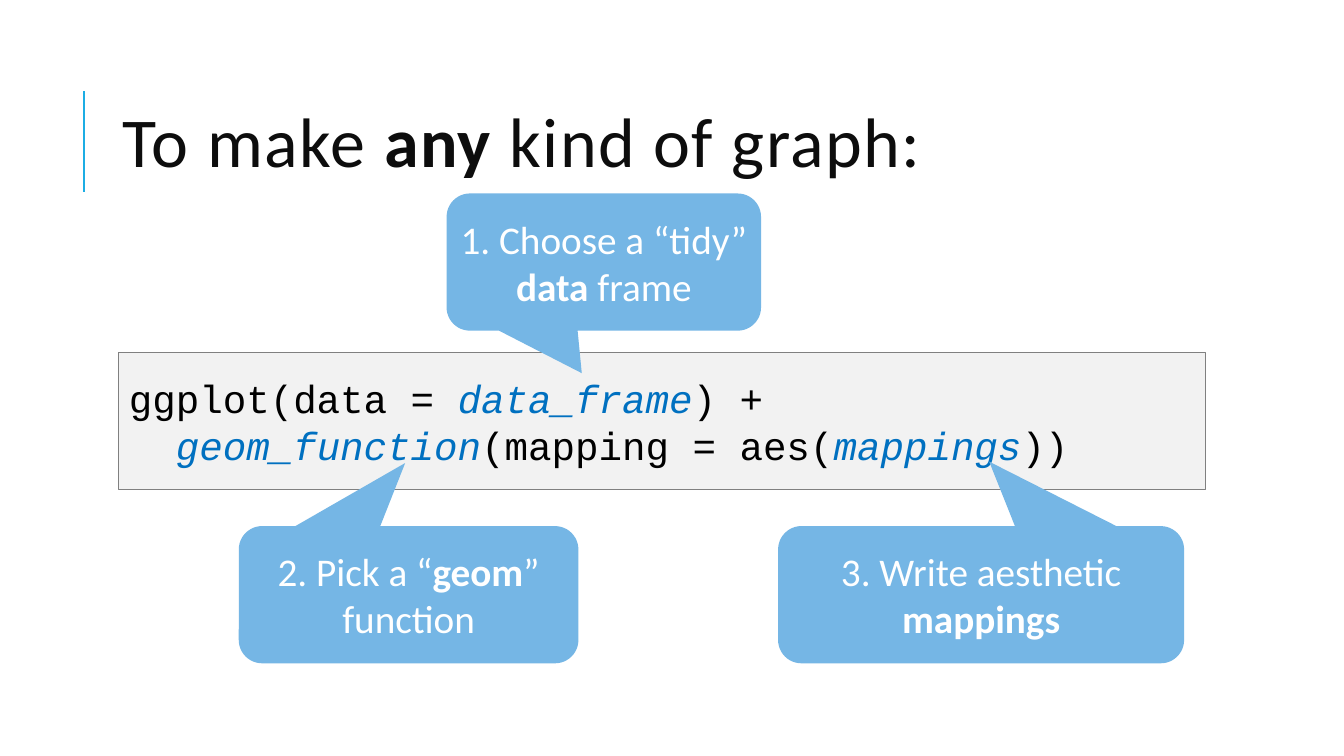
from lxml import etree
from pptx import Presentation
from pptx import util as u
from pptx.dml.color import RGBColor
from pptx.enum import shapes, text
from pptx.oxml import ns

Pt = u.Pt
INK = RGBColor(0x0D, 0x0D, 0x0D)
BLACK = RGBColor(0x00, 0x00, 0x00)
WHITE = RGBColor(0xFF, 0xFF, 0xFF)
TEAL = RGBColor(0x1C, 0xAD, 0xE4)
SKY = RGBColor(0x75, 0xB6, 0xE5)
BLUE = RGBColor(0x00, 0x70, 0xC0)
PALE = RGBColor(0xF2, 0xF2, 0xF2)
GRAY = RGBColor(0x80, 0x80, 0x80)


class Board:
    sans = "Calibri"
    mono = "Courier New"
    size = 28

    def __init__(self, slide):
        self.slide = slide

    def label(self, frame, lines, color, align, face=sans, size=size, code=False):
        """Fill a frame; parts between asterisks are emphasised."""
        frame.word_wrap = True
        frame.vertical_anchor = text.MSO_ANCHOR.MIDDLE
        for n, line in enumerate(lines):
            para = frame.add_paragraph() if n else frame.paragraphs[0]
            para.alignment = align
            for k, part in enumerate(line.split("*")):
                if not part:
                    continue
                run = para.add_run()
                run.text = part
                font = run.font
                font.name, font.size = face, Pt(size)
                strong = k % 2 == 1
                font.bold = strong and not code
                font.italic = strong and code
                font.color.rgb = BLUE if strong and code else color

    def title(self, line, x, y, w, h):
        frame = self.slide.shapes.add_textbox(Pt(x), Pt(y), Pt(w), Pt(h)).text_frame
        self.label(frame, [line], INK, text.PP_ALIGN.LEFT, size=50)
        para = frame.paragraphs[0]
        para.line_spacing = 0.8
        for run in para.runs:
            run._r.get_or_add_rPr().set("spc", "100")

    def rule(self, x, top, foot):
        line = self.slide.shapes.add_connector(
            shapes.MSO_CONNECTOR.STRAIGHT, Pt(x), Pt(foot), Pt(x), Pt(top))
        line.line.color.rgb = TEAL
        line.line.width = Pt(1.5)
        etree.SubElement(line._element.spPr, ns.qn("a:effectLst"))

    def shape(self, kind, x, y, w, h, fill):
        item = self.slide.shapes.add_shape(kind, Pt(x), Pt(y), Pt(w), Pt(h))
        item.shadow.inherit = False
        item.fill.solid()
        item.fill.fore_color.rgb = fill
        return item

    def code(self, lines, x, y, w, h):
        box = self.shape(shapes.MSO_SHAPE.RECTANGLE, x, y, w, h, PALE)
        box.line.color.rgb = GRAY
        box.line.width = Pt(0.75)
        self.label(box.text_frame, lines, BLACK, text.PP_ALIGN.LEFT,
                   face=self.mono, code=True)

    def callout(self, line, x, y, w, h, tip):
        kind = shapes.MSO_SHAPE.ROUNDED_RECTANGULAR_CALLOUT
        box = self.shape(kind, x, y, w, h, SKY)
        box.line.fill.background()
        for n, value in enumerate((*tip, 0.17)):
            box.adjustments[n] = value
        frame = box.text_frame
        frame.margin_left = frame.margin_right = 0
        self.label(frame, [line], WHITE, text.PP_ALIGN.CENTER)


def main():
    deck = Presentation()
    deck.slide_width, deck.slide_height = Pt(960), Pt(540)
    board = Board(deck.slides.add_slide(deck.slide_layouts[6]))

    board.rule(60, 65, 137)
    board.title("To make *any* kind of graph:", 80.6, 46, 765.4, 118)

    high = 98
    board.code(["ggplot(data = *data_frame*) +",
                "  *geom_function*(mapping = aes(*mappings*))"],
               85, 252, 776, high)

    low = 375.8
    steps = [
        ("1. Choose a “tidy” *data* frame", 319, 138.2, 224.6, (-0.07, 0.81)),
        ("2. Pick a “*geom*” function", 170.6, low, 242.6, (-0.01, -0.96)),
        ("3. Write aesthetic *mappings*", 555.8, low, 290, (0.02, -0.97)),
    ]
    for line, x, y, w, tip in steps:
        board.callout(line, x, y, w, high, tip)

    deck.save("out.pptx")


if __name__ == "__main__":
    main()
